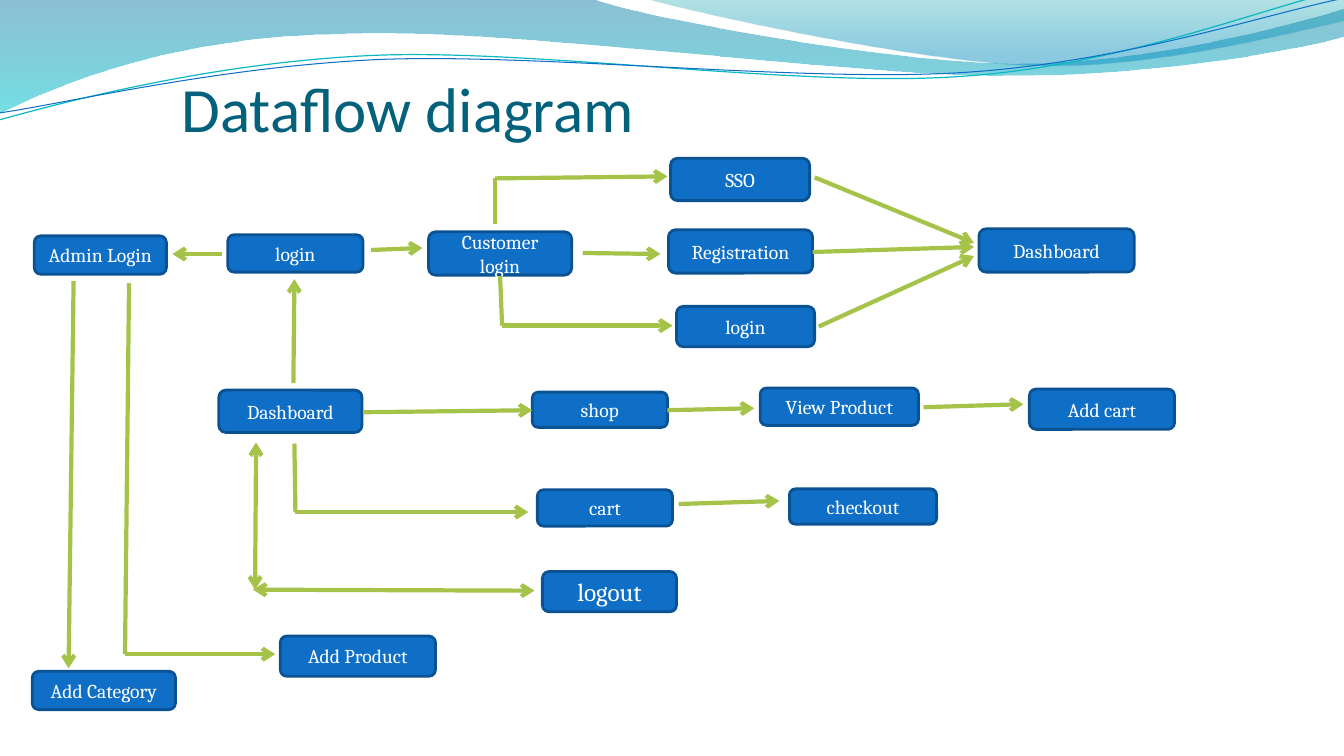
from lxml import etree
from pptx import Presentation, util as u
from pptx.dml.color import RGBColor
from pptx.enum import shapes, text
from pptx.oxml.ns import qn

COLUMNS, ROWS = 13.33, 7.5
BLUE = RGBColor(0x0F, 0x6F, 0xC6)
NAVY = RGBColor(0x0B, 0x52, 0x92)
GREEN = RGBColor(0xA5, 0xC2, 0x49)
TEAL = RGBColor(0x04, 0x61, 0x7B)
AQUA = RGBColor(0x0A, 0xB8, 0xBF)
WHITE = RGBColor(0xFF, 0xFF, 0xFF)
BAND_TOP, BAND_BOTTOM = RGBColor(0x00, 0x74, 0xA1), RGBColor(0x00, 0xC6, 0xCF)
CREST_TOP, CREST_BOTTOM = RGBColor(0x00, 0xA1, 0xA9), RGBColor(0x00, 0x8B, 0xBF)

BAND = [
    [(0, 0)],
    [(5.87, -0.01)],
    [(6.34, 0.17), (8.85, 0.63), (10.11, 0.63)],
    [(11.38, 0.63), (12.78, 0.26), (13.33, 0.09)],
    [(13.35, 0.36)],
    [(13.11, 0.44), (11.6, 0.76), (9.94, 0.75)],
    [(8.29, 0.75), (5.09, 0.28), (3.43, 0.34)],
    [(1.72, 0.36), (0.61, 0.83), (-0.01, 1.13)],
]
CREST = [
    [(6.39, -0.01)],
    [(6.79, 0.11), (9.09, 0.62), (10.25, 0.65)],
    [(11.41, 0.69), (12.82, 0.32), (13.33, 0.21)],
    [(13.33, 0)],
]
AQUA_RIPPLE = [
    [(-0.01, 1.19)],
    [(0.64, 1.01), (2.11, 0.62), (3.69, 0.55)],
    [(5.27, 0.48), (7.9, 0.87), (9.5, 0.76)],
    [(11.1, 0.66), (12.52, 0.08), (13.31, -0.1)],
]
BLUE_RIPPLE = [
    [(0, 1.12)],
    [(0.63, 1.03), (2.18, 0.66), (3.78, 0.59)],
    [(5.37, 0.53), (7.96, 0.82), (9.55, 0.72)],
    [(11.15, 0.62), (12.55, 0.14), (13.34, -0.02)],
]

STEPS = [
    ("Dashboard", 2.17, 3.87, 1.42, 0.42),
    ("Customer login", 4.25, 2.3, 1.42, 0.43),
    ("Registration", 6.63, 2.28, 1.43, 0.43),
    ("SSO", 6.65, 1.57, 1.38, 0.42),
    ("login", 6.71, 3.04, 1.37, 0.4),
    ("Dashboard", 9.71, 2.27, 1.54, 0.43),
    ("shop", 5.28, 3.89, 1.34, 0.35),
    ("cart", 5.33, 4.86, 1.34, 0.36),
    ("checkout", 7.83, 4.85, 1.46, 0.35),
    ("Admin Login", 0.34, 2.34, 1.31, 0.38),
    ("login", 2.26, 2.33, 1.34, 0.37),
    ("View Product", 7.54, 3.85, 1.57, 0.37),
    ("Add cart", 10.21, 3.86, 1.44, 0.4),
    ("Add Product", 2.78, 6.31, 1.54, 0.4),
    ("Add Category", 0.32, 6.66, 1.42, 0.38),
    ("logout", 5.38, 5.67, 1.33, 0.4),
]
ROUTES = [
    [(4.91, 2.22), (4.91, 1.77), (6.62, 1.75)],
    [(4.96, 2.74), (4.98, 3.23), (6.67, 3.23)],
    [(5.78, 2.51), (6.55, 2.52)],
    [(8.08, 1.76), (9.66, 2.41)],
    [(8.06, 2.5), (9.66, 2.45)],
    [(8.12, 3.24), (9.66, 2.54)],
    [(3.68, 2.48), (4.19, 2.46)],
    [(2.91, 3.8), (2.92, 2.77)],
    [(2.2, 2.52), (1.71, 2.52)],
    [(3.6, 4.09), (5.28, 4.07)],
    [(2.92, 4.4), (2.93, 5.08), (5.24, 5.08)],
    [(6.73, 5), (7.73, 4.97)],
    [(6.62, 4.07), (7.48, 4.05)],
    [(9.16, 4.04), (10.15, 4.01)],
    [(0.73, 2.79), (0.68, 6.63)],
    [(1.28, 2.81), (1.24, 6.49), (2.73, 6.49)],
]
TWO_WAY_ROUTES = [[(2.51, 5.85), (5.3, 5.86)], [(2.53, 5.85), (2.54, 4.39)]]


def place(box, column, row):
    """Turn a grid position inside a box into slide lengths."""
    left, top, width, height = box
    return round(left + width * column / COLUMNS), round(top + height * row / ROWS)


def write(frame, words, font="Cambria", size=14, color=WHITE, align=None, anchor=None):
    """Fill a text frame with one formatted line."""
    frame.word_wrap = True
    frame.vertical_anchor = anchor
    para = frame.paragraphs[0]
    para.alignment = align
    span = para.add_run()
    span.text = words
    span.font.name, span.font.size, span.font.color.rgb = font, u.Pt(size), color


def add_outline(page, box, segments, close):
    """Draw a freeform whose three-point segments are cubic curves."""
    anchors = [place(box, *segment[-1]) for segment in segments]
    builder = page.shapes.build_freeform(*anchors[0])
    builder.add_line_segments(anchors[1:], close=close)
    outline = builder.convert_to_shape()
    outline.shadow.inherit = False
    lines = list(outline.element.spPr.iter(qn("a:lnTo")))
    for line, segment in zip(lines, segments[1:]):
        if len(segment) == 3:
            curve = etree.Element(qn("a:cubicBezTo"))
            for point in segment:
                x, y = place(box, *point)
                etree.SubElement(curve, qn("a:pt"), x=str(x - outline.left),
                                 y=str(y - outline.top))
            line.getparent().replace(line, curve)
    return outline


def add_waves(page, box):
    """Draw the translucent bands and thin ripples of the header."""
    for segments, stops in (
        (BAND, ((0, BAND_TOP, 45), (1, BAND_BOTTOM, 55))),
        (CREST, ((0, CREST_TOP, 30), (0.8, CREST_BOTTOM, 45))),
    ):
        wave = add_outline(page, box, segments, True)
        wave.line.fill.background()
        wave.fill.gradient()
        wave.fill.gradient_angle = 270
        for stop, (position, color, _) in zip(wave.fill.gradient_stops, stops):
            stop.position, stop.color.rgb = position, color
        for tint, (_, _, opacity) in zip(wave.element.spPr.iter(qn("a:srgbClr")), stops):
            etree.SubElement(tint, qn("a:alpha"), val=str(opacity * 1000))
    for segments, color, weight in ((AQUA_RIPPLE, AQUA, 0.85), (BLUE_RIPPLE, BLUE, 0.75)):
        ripple = add_outline(page, box, segments, False)
        ripple.fill.background()
        ripple.line.color.rgb, ripple.line.width = color, u.Pt(weight)


def add_title(page, box, words):
    """Move and format the title placeholder."""
    title = page.shapes.title
    title.left, title.top = place(box, 0.67, 0.77)
    title.width, title.height = place((0, 0, *box[2:]), 12, 0.67)
    frame = title.text_frame
    frame.margin_left, _ = place((0, 0, *box[2:]), 1.13, 0)
    frame.margin_right = frame.margin_bottom = 0
    frame.auto_size = text.MSO_AUTO_SIZE.NONE
    write(frame, words, font="Calibri", size=45, color=TEAL,
          align=text.PP_ALIGN.LEFT, anchor=text.MSO_ANCHOR.BOTTOM)


def add_step(page, box, words, column, row, width, height):
    """Draw one labelled step of the flow."""
    step = page.shapes.add_shape(
        shapes.MSO_SHAPE.ROUNDED_RECTANGLE, *place(box, column, row),
        *place((0, 0, *box[2:]), width, height))
    step.shadow.inherit = False
    step.fill.solid()
    step.fill.fore_color.rgb = BLUE
    step.line.color.rgb, step.line.width = NAVY, u.Pt(2)
    write(step.text_frame, words, size=18 if words == "logout" else 14,
          align=text.PP_ALIGN.CENTER, anchor=text.MSO_ANCHOR.MIDDLE)


def add_route(page, box, points, two_way=False):
    """Join points with lines that end in an arrowhead."""
    for start, end in zip(points, points[1:]):
        link = page.shapes.add_connector(
            shapes.MSO_CONNECTOR.STRAIGHT, *place(box, *start), *place(box, *end))
        link.line.color.rgb, link.line.width = GREEN, u.Pt(3)
        line = link.line._get_or_add_ln()
        if two_way:
            etree.SubElement(line, qn("a:headEnd"), type="arrow")
        if end == points[-1]:
            etree.SubElement(line, qn("a:tailEnd"), type="arrow")
        etree.SubElement(link._element.spPr, qn("a:effectLst"))


def add_flow(page, box):
    """Draw all steps and the routes between them."""
    for step in STEPS:
        add_step(page, box, *step)
    for route in ROUTES:
        add_route(page, box, route)
    for route in TWO_WAY_ROUTES:
        add_route(page, box, route, two_way=True)


deck = Presentation()
deck.slide_width, deck.slide_height = u.Inches(COLUMNS), u.Inches(ROWS)
page = deck.slides.add_slide(deck.slide_layouts[5])
whole = (0, 0, deck.slide_width, deck.slide_height)
add_waves(page, whole)
add_title(page, whole, "Dataflow diagram")
add_flow(page, whole)
deck.save("out.pptx")
